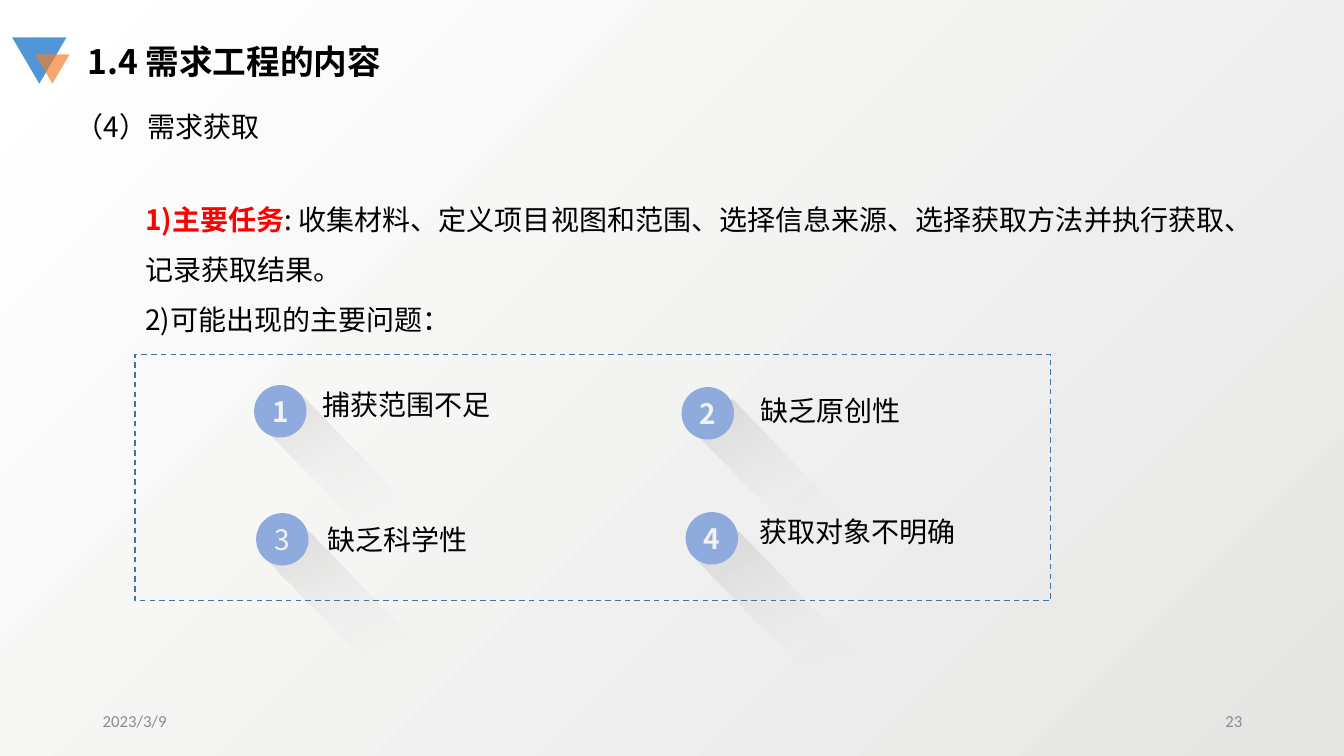
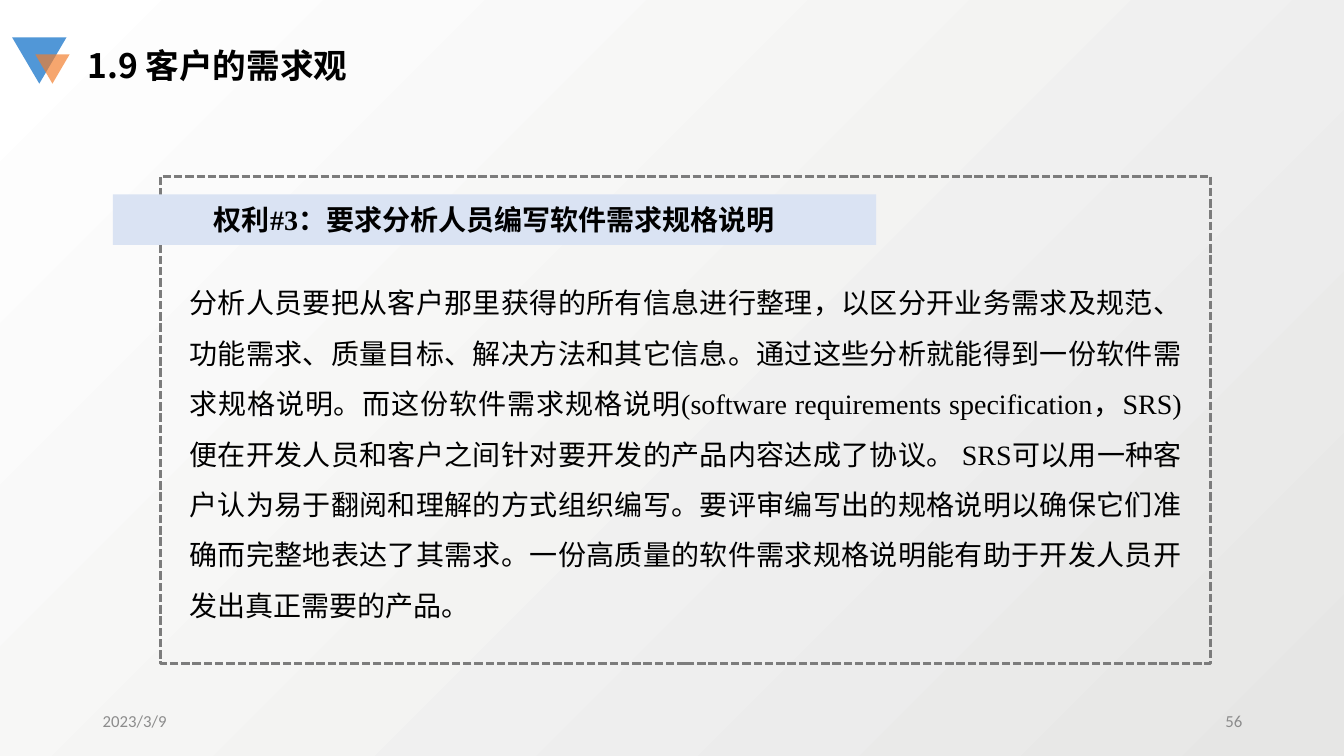
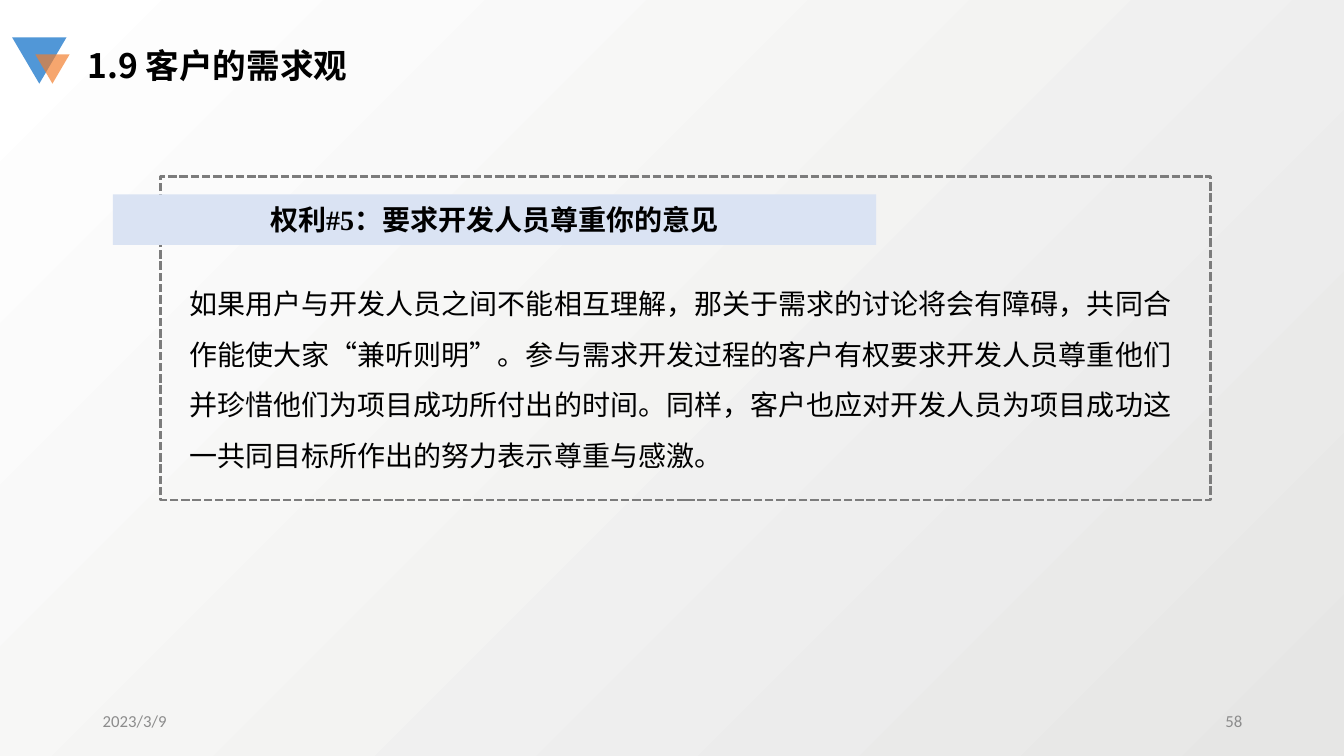
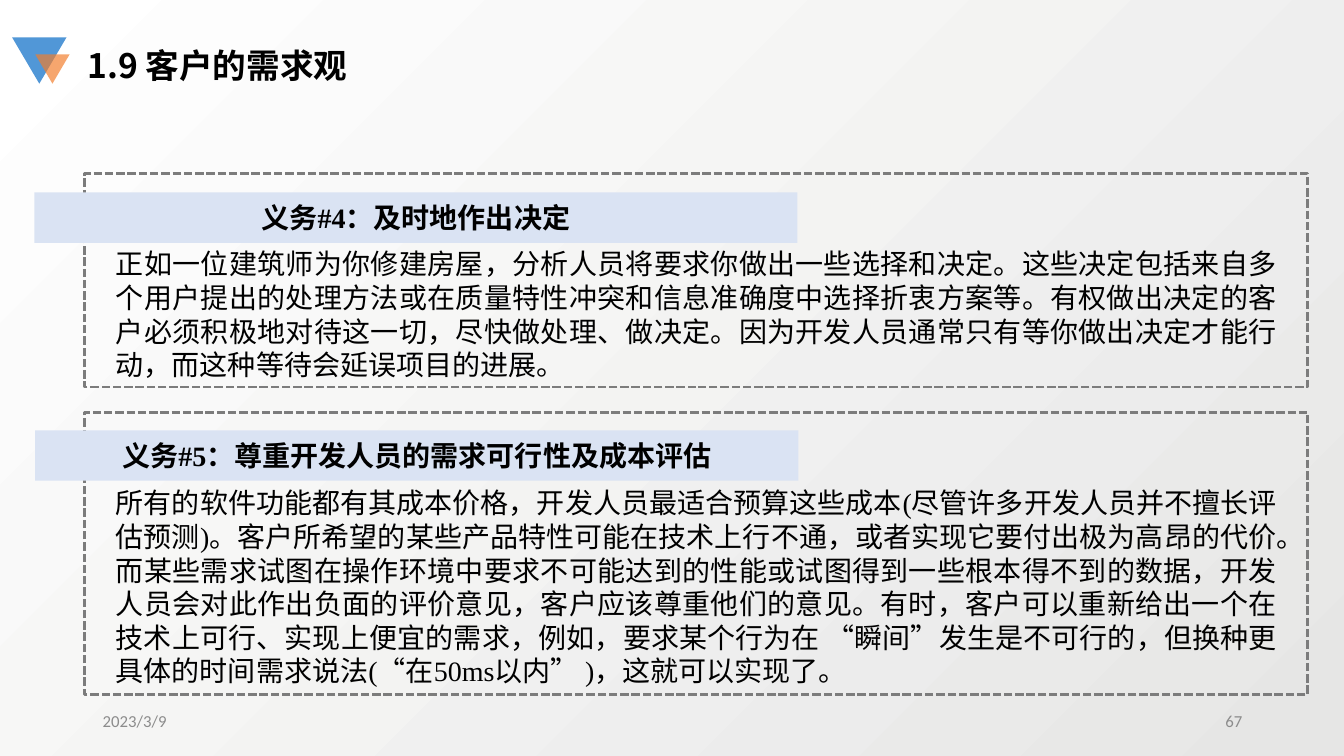
import pptx
import pptx.util
import pptx.dml.color
import pptx.enum.dml
import pptx.enum.shapes
import pptx.enum.text
import pptx.oxml.ns
from lxml import etree

Inches = pptx.util.Inches
Pt = pptx.util.Pt
qn = pptx.oxml.ns.qn
SHAPE = pptx.enum.shapes.MSO_SHAPE
ALIGN = pptx.enum.text.PP_ALIGN
ANCHOR = pptx.enum.text.MSO_ANCHOR
DASH = pptx.enum.dml.MSO_LINE

COLORS = {
    "text": "000000", "alert": "FF0000", "footer": "8C8C8C",
    "bg_dark": "E6E6E5", "bg_light": "FFFFFF",
    "mark_blue": "5197D7", "mark_orange": "F37D2A",
    "banner": "DAE3F3", "frame": "7C7C7C", "box": "43739E",
    "circle": "8FAADC", "pale": "F2F2F2",
}
CJK = "Noto Sans CJK SC"
TIMES = "Times New Roman"
DATE = "2023/3/9"


def rgb(name):
    return pptx.dml.color.RGBColor.from_string(COLORS[name])


# ---- Basic elements ----
def set_alpha(clr, percent):
    etree.SubElement(clr, qn("a:alpha")).set("val", str(percent * 1000))


def set_gradient(fill, start, end, angle):
    """Two-stop linear gradient; angle runs counterclockwise."""
    fill.gradient()
    fill.gradient_angle = angle
    for stop, name, pos in zip(fill.gradient_stops, (start, end), (0, 1)):
        stop.color.rgb = rgb(name)
        stop.position = pos


def add_run(p, text, size=20, font=CJK, color="text", bold=False):
    r = p.add_run()
    r.text = text
    r.font.size = Pt(size)
    r.font.name = font
    r.font.bold = bold
    r.font.color.rgb = rgb(color)
    etree.SubElement(r._r.get_or_add_rPr(), qn("a:ea")).set("typeface", CJK)


def write(tf, paragraphs, align=ALIGN.LEFT, spacing=None, **style):
    """Each paragraph is a list of (text, style changes) runs."""
    for i, runs in enumerate(paragraphs):
        p = tf.add_paragraph() if i else tf.paragraphs[0]
        p.alignment = align
        if spacing:
            p.line_spacing = spacing
        for text, changes in runs:
            add_run(p, text, **{**style, **changes})


def add_text(s, box, paragraphs, anchor=ANCHOR.TOP, **style):
    tf = s.shapes.add_textbox(*map(Inches, box)).text_frame
    tf.word_wrap = True
    tf.vertical_anchor = anchor
    write(tf, paragraphs, **style)


def add_shape(s, kind, box, fill=None, line=None, width=1, dash=None):
    sp = s.shapes.add_shape(kind, *map(Inches, box))
    sp.shadow.inherit = False
    if fill:
        sp.fill.solid()
        sp.fill.fore_color.rgb = rgb(fill)
    else:
        sp.fill.background()
    if line:
        sp.line.color.rgb = rgb(line)
        sp.line.width = Pt(width)
        sp.line.dash_style = dash
    else:
        sp.line.fill.background()
    return sp


# ---- Shared slide frame ----
def new_slide(prs, title, number, title_spacing=None):
    s = prs.slides.add_slide(prs.slide_layouts[6])
    set_gradient(s.background.fill, "bg_dark", "bg_light", 135)
    # Footer
    for left, text, align in ((0.92, DATE, ALIGN.LEFT),
                              (9.42, number, ALIGN.RIGHT)):
        add_text(s, (left, 6.95, 3, 0.4), [[(text, {})]], ANCHOR.MIDDLE,
                 align=align, size=12, font="Calibri", color="footer")
    # Title mark
    for box, color in (((0.12, 0.37, 0.54, 0.46), "mark_blue"),
                       ((0.35, 0.54, 0.34, 0.29), "mark_orange")):
        mark = add_shape(s, SHAPE.ISOSCELES_TRIANGLE, box, color)
        mark.rotation = 180
    set_alpha(mark._element.spPr.find(".//" + qn("a:srgbClr")), 68)
    # Title
    add_text(s, (0.77, 0.4, 5.51, 0.5), [[(title, {})]],
             spacing=title_spacing, size=24, bold=True)
    return s


# ---- Numbered item with a long shadow ----
def add_long_shadow(s, left, top):
    outline = [(0, 0.5), (0.11, 0), (1.76, 0.01), (1.42, 0.5)]
    points = [(Inches(left + x), Inches(top + y)) for x, y in outline]
    fb = s.shapes.build_freeform(*points[0])
    fb.add_line_segments(points[1:], close=True)
    sp = fb.convert_to_shape()
    sp.shadow.inherit = False
    sp.line.fill.background()
    sp.rotation = 45.6
    set_gradient(sp.fill, "text", "pale", 340)
    stops = sp._element.spPr.find(qn("a:gradFill")).iter(qn("a:srgbClr"))
    for clr, alpha in zip(list(stops), (12, 0)):
        set_alpha(clr, alpha)


def add_item(s, number, label, circle, shadow, label_at, bold=True):
    add_long_shadow(s, *shadow)
    sp = add_shape(s, SHAPE.OVAL, (*circle, 0.52, 0.52), "circle")
    tf = sp.text_frame
    tf.margin_left = tf.margin_right = 0
    tf.vertical_anchor = ANCHOR.MIDDLE
    write(tf, [[(number, {})]], ALIGN.CENTER, color="pale", bold=bold)
    add_text(s, (*label_at, 2.59, 0.44), [[(label, {})]])


# ---- Dashed panel with a banner heading ----
def add_panel(s, frame, banner_at, heading, body_top, inset, runs, **style):
    left, top, width, height = frame
    add_shape(s, SHAPE.RECTANGLE, frame, None, "frame", 2, DASH.SQUARE_DOT)
    add_text(s, (left + inset, body_top, width - 2 * inset,
                 top + height - body_top), [runs], **style)
    banner = add_shape(s, SHAPE.RECTANGLE, (*banner_at, 7.57, 0.5), "banner")
    banner.text_frame.vertical_anchor = ANCHOR.MIDDLE
    write(banner.text_frame, [[(heading, {})]], ALIGN.CENTER,
          font=TIMES, bold=True)


# ---- Slides ----
def slide_elicitation(prs):
    s = new_slide(prs, "1.4 需求工程的内容", "23", 0.9)
    add_text(s, (0.65, 1.04, 9.36, 0.44), [[("（4）需求获取", {})]])
    add_text(s, (1.34, 1.79, 11.08, 1.56), [
        [("1)主要任务", {"color": "alert", "bold": True}),
         (": 收集材料、定义项目视图和范围、选择信息来源、选择获取方法并执行获取、记录获取结果。", {})],
        [("2)可能出现的主要问题：", {})],
    ], spacing=1.5)
    add_item(s, "1", "捕获范围不足", (2.52, 3.82), (2.46, 4.38), (3.1, 3.8))
    add_item(s, "2", "缺乏原创性", (6.76, 3.84), (6.74, 4.43), (7.44, 3.85))
    add_item(s, "3", "缺乏科学性", (2.54, 5.09), (2.55, 5.75), (3.15, 5.13),
             bold=False)
    add_item(s, "4", "获取对象不明确", (6.8, 5.08), (6.81, 5.75), (7.43, 5.06))
    add_shape(s, SHAPE.RECTANGLE, (1.34, 3.52, 9.08, 2.44), None,
              "box", 1, DASH.DASH)


def slide_right_3(prs):
    s = new_slide(prs, "1.9 客户的需求观", "56")
    add_panel(
        s, (1.59, 1.75, 10.42, 4.83), (1.12, 1.93),
        "权利#3：要求分析人员编写软件需求规格说明", 2.62, 0.19,
        [("分析人员要把从客户那里获得的所有信息进行整理，以区分开业务需求及规范、"
          "功能需求、质量目标、解决方法和其它信息。通过这些分析就能得到一份软件需"
          "求规格说明。而这份软件需求规格说明(software requirements specification，"
          "SRS)便在开发人员和客户之间针对要开发的产品内容达成了协议。 SRS可以用"
          "一种客户认为易于翻阅和理解的方式组织编写。要评审编写出的规格说明以确保"
          "它们准确而完整地表达了其需求。一份高质量的软件需求规格说明能有助于开发"
          "人员开发出真正需要的产品。", {})],
        align=ALIGN.JUSTIFY, spacing=1.5, font=TIMES)


def slide_right_5(prs):
    s = new_slide(prs, "1.9 客户的需求观", "58")
    add_panel(
        s, (1.59, 1.75, 10.42, 3.21), (1.12, 1.93),
        "权利#5：要求开发人员尊重你的意见", 2.63, 0.19,
        [("如果用户与开发人员之间不能相互理解，那关于需求的讨论将会有障碍，共同合"
          "作能使大家“兼听则明”。参与需求开发过程的客户有权要求开发人员尊重他们"
          "并珍惜他们为项目成功所付出的时间。同样，客户也应对开发人员为项目成功这"
          "一共同目标所作出的努力表示尊重与感激", {"font": "Calibri"}),
         ("。", {})],
        spacing=1.5, font=TIMES)


def slide_duties(prs):
    s = new_slide(prs, "1.9 客户的需求观", "67")
    add_panel(
        s, (0.84, 1.72, 12.13, 2.12), (0.34, 1.91),
        "义务#4：及时地作出决定", 2.4, 0.21,
        [("正如一位建筑师为你修建房屋，分析人员将要求你做出一些选择和决定。这些决定包括来自多"
          "个用户提出的处理方法或在质量特性冲突和信息准确度中选择折衷方案等。有权做出决定的客"
          "户必须积极地对待这一切，尽快做处理、做决定。因为开发人员通常只有等你做出决定才能行"
          "动，而这种等待会延误项目的进展。", {})],
        align=ALIGN.JUSTIFY)
    add_panel(
        s, (0.84, 4.09, 12.13, 2.8), (0.35, 4.27),
        "义务#5：尊重开发人员的需求可行性及成本评估", 4.77, 0.21,
        [("所有的软件功能都有其成本价格，开发人员最适合预算这些成本(尽管许多开发人员并不擅长"
          "评估预测)。客户所希望的某些产品特性可能在技术上行不通，或者实现它要付出极为高昂的"
          "代价。而某些需求试图在操作环境中要求不可能达到的性能或试图得到一些根本得不到的数据，"
          "开发人员会对此作出负面的评价意见，客户应该尊重他们的意见。有时，客户可以重新给出一"
          "个在技术上可行、实现上便宜的需求，例如，要求某个行为在 “瞬间”发生是不可行的，但换"
          "种更具体的时间需求说法(“在50ms以内” )，这就可以实现了。", {})],
        align=ALIGN.JUSTIFY, font=TIMES)


def main():
    prs = pptx.Presentation()
    prs.slide_width = Inches(13.33)
    prs.slide_height = Inches(7.5)
    slide_elicitation(prs)
    slide_right_3(prs)
    slide_right_5(prs)
    slide_duties(prs)
    prs.save("out.pptx")


if __name__ == "__main__":
    main()
